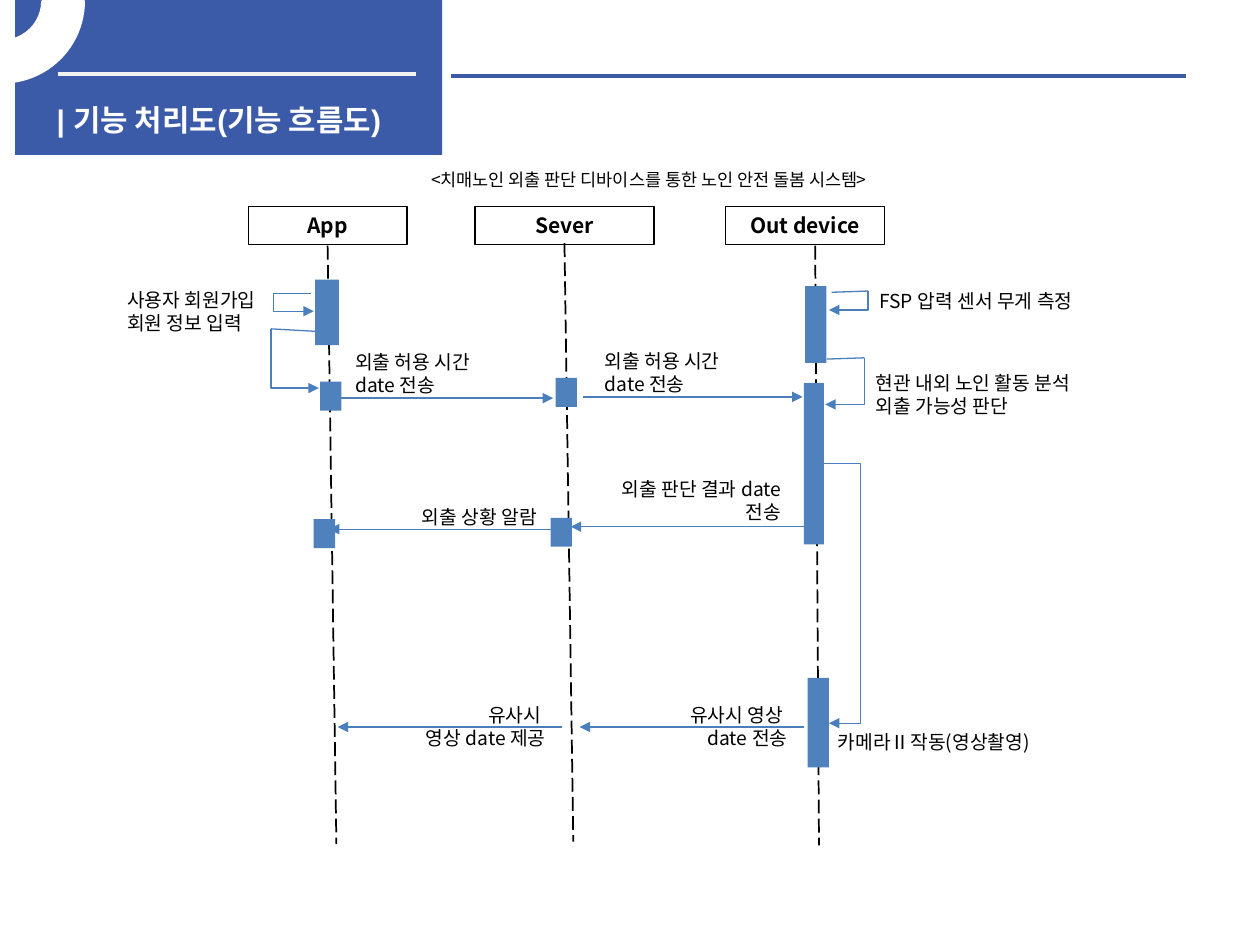
from lxml.etree import SubElement
from pptx import Presentation
from pptx.dml.color import RGBColor
from pptx.enum.dml import MSO_LINE
from pptx.enum.shapes import MSO_CONNECTOR, MSO_SHAPE
from pptx.enum.text import MSO_ANCHOR, MSO_AUTO_SIZE, PP_ALIGN
from pptx.oxml.ns import qn
from pptx.util import Inches, Pt

KOREAN_FONT = "Noto Sans CJK KR"
BANNER, BAR, ARROW = "3B5AA8", "4F81BD", "4B7EBC"
BLACK, WHITE, PALE = "000000", "FFFFFF", "F2F2F2"


def color(value):
    """Turn a hex string into a colour."""
    return RGBColor.from_string(value)


class SequenceSlide:
    """Draw the elements of a sequence diagram in one style."""

    def __init__(self, deck):
        """Start a slide that has only a title."""
        self.slide = deck.slides.add_slide(deck.slide_layouts[5])
        self.shapes = self.slide.shapes

    def set_text(self, frame, lines, size, ink=BLACK, bold=False, align=PP_ALIGN.LEFT, font=KOREAN_FONT):
        """Fill a text frame with one paragraph per line."""
        frame.word_wrap = True
        frame.auto_size = MSO_AUTO_SIZE.NONE
        frame.text = "\n".join(lines)
        for paragraph in frame.paragraphs:
            paragraph.alignment = align
            paragraph.line_spacing = Pt(size * 1.2)
            paragraph.font.size = Pt(size)
            paragraph.font.bold = bold
            paragraph.font.color.rgb = color(ink)
            paragraph.font.name = font
            defaults = paragraph._p.pPr.find(qn("a:defRPr"))
            SubElement(defaults, qn("a:ea")).set("typeface", KOREAN_FONT)

    def title(self, text, left, top, width, height):
        """Place the title in front of everything drawn so far."""
        title = self.shapes.title
        title.left, title.top = Inches(left), Inches(top)
        title.width, title.height = Inches(width), Inches(height)
        self.shapes._spTree.append(title._element)
        self.set_text(title.text_frame, [text], 17, WHITE, True, font="Arial")
        title.text_frame.vertical_anchor = MSO_ANCHOR.TOP

    def label(self, lines, left, top, width, align=PP_ALIGN.LEFT, size=11, rows=None):
        """Add a text label as tall as its rows."""
        height = 0.1 + (rows or len(lines)) * size * 1.2 / 72
        box = self.shapes.add_textbox(Inches(left), Inches(top), Inches(width), Inches(height))
        self.set_text(box.text_frame, lines, size, align=align)

    def block(self, left, top, width, height, fill=None, outline=None, weight=0.75, kind=MSO_SHAPE.RECTANGLE):
        """Add a flat shape."""
        block = self.shapes.add_shape(kind, Inches(left), Inches(top), Inches(width), Inches(height))
        block.shadow.inherit = False
        if fill:
            block.fill.solid()
            block.fill.fore_color.rgb = color(fill)
        else:
            block.fill.background()
        if outline:
            block.line.color.rgb = color(outline)
            block.line.width = Pt(weight)
        else:
            block.line.fill.background()
        return block

    def participant(self, name, left, width):
        """Add the heading box of a lifeline."""
        box = self.block(left, 1.64, width, 0.3, outline=BLACK)
        self.set_text(box.text_frame, [name], 12, bold=True, align=PP_ALIGN.CENTER)

    def line(self, start, end, ink=ARROW, weight=0.75, arrow=False, dash=None, kind=MSO_CONNECTOR.STRAIGHT):
        """Add a connector, with an arrowhead at its end if asked."""
        line = self.shapes.add_connector(kind, *map(Inches, (*start, *end)))
        line.line.color.rgb = color(ink)
        line.line.width = Pt(weight)
        if dash:
            line.line.dash_style = dash
        if arrow:
            outline = line._element.spPr.find(qn("a:ln"))
            SubElement(outline, qn("a:tailEnd")).set("type", "triangle")
        SubElement(line._element.spPr, qn("a:effectLst"))
        return line

    def elbow(self, start, end, turn):
        """Add a bent arrow whose vertical part stands at the turn."""
        bent = self.line(start, end, arrow=True, kind=MSO_CONNECTOR.ELBOW)
        share = round((turn - start[0]) / (end[0] - start[0]) * 100000)
        geometry = bent._element.spPr.find(qn("a:prstGeom"))
        guides = geometry.find(qn("a:avLst"))
        if guides is None:
            guides = SubElement(geometry, qn("a:avLst"))
        guide = SubElement(guides, qn("a:gd"))
        guide.set("name", "adj1")
        guide.set("fmla", f"val {share}")

    def self_call(self, origin, corner, end):
        """Add a message that loops back to its own lifeline."""
        self.line(origin, corner)
        self.elbow(corner, end, corner[0])


def main():
    """Build the sequence diagram slide."""
    deck = Presentation()
    deck.slide_width, deck.slide_height = Inches(10), Inches(7.5)
    page = SequenceSlide(deck)

    page.block(0.12, 0, 3.39, 1.23, BANNER)
    page.line((0.46, 0.59), (3.3, 0.59), PALE, 2.25)
    page.line((3.58, 0.6), (9.41, 0.6), BANNER, 2.25)
    page.title("| 기능 처리도(기능 흐름도)", 0.35, 0.76, 3.23, 0.3)
    ring = page.block(-0.63, -0.63, 1.29, 1.28, WHITE, WHITE, 2, MSO_SHAPE.BLOCK_ARC)
    for index, value in enumerate((0, 54, 0.25)):
        ring.adjustments[index] = value
    page.label(["<치매노인 외출 판단 디바이스를 통한 노인 안전 돌봄 시스템>"], 3, 1.29, 4.3, PP_ALIGN.CENTER, 10)

    for name, left, width, start, end in (
        ("App", 1.97, 1.26, (2.6, 1.95), (2.67, 6.7)),
        ("Sever", 3.77, 1.42, (4.48, 1.93), (4.55, 6.68)),
        ("Out device", 5.76, 1.26, (6.47, 1.95), (6.5, 6.71)),
    ):
        page.participant(name, left, width)
        page.line(start, end, BLACK, 1, dash=MSO_LINE.LONG_DASH)

    for start, end, y in (
        (2.64, 4.39, 3.16),
        (4.63, 6.37, 3.15),
        (6.39, 4.53, 4.18),
        (4.39, 2.61, 4.2),
        (4.46, 2.68, 5.77),
        (6.38, 4.6, 5.77),
    ):
        page.line((start, y), (end, y), arrow=True)

    for left, top, width, height in (
        (2.5, 2.22, 0.19, 0.52),
        (2.54, 3.03, 0.17, 0.23),
        (2.49, 4.12, 0.17, 0.23),
        (4.41, 3, 0.17, 0.23),
        (4.37, 4.11, 0.17, 0.23),
        (6.39, 2.27, 0.17, 0.61),
        (6.38, 3.04, 0.16, 1.28),
        (6.41, 5.38, 0.17, 0.71),
    ):
        page.block(left, top, width, height, BAR)

    page.self_call((2.47, 2.33), (2.17, 2.33), (2.49, 2.47))
    page.self_call((2.51, 2.63), (2.15, 2.61), (2.53, 3.08))
    page.self_call((6.6, 2.32), (6.89, 2.31), (6.58, 2.46))
    page.self_call((6.56, 2.85), (6.86, 2.84), (6.55, 3.21))
    page.elbow((6.54, 3.68), (6.58, 5.74), 6.83)

    allowed_time = ["외출 허용 시간", "date 전송"]
    page.label(allowed_time, 2.72, 2.73, 2.26)
    page.label(allowed_time, 4.7, 2.72, 2.26)
    for lines, left, top in (
        (["사용자 회원가입", "회원 정보 입력"], 0.91, 2.24),
        (["FSP 압력 센서 무게 측정"], 6.88, 2.25),
        (["현관 내외 노인 활동 분석", "외출 가능성 판단"], 6.85, 2.9),
        (["카메라Ⅱ작동(영상촬영)"], 6.55, 5.75),
    ):
        page.label(lines, left, top, 2.45)
    for lines, left, top, rows in (
        (["외출 판단 결과 date 전송"], 4.63, 3.74, 2),
        (["외출 상황 알람"], 2.69, 3.96, 1),
        (["유사시 ", "영상 date 제공"], 2.76, 5.53, 2),
        (["유사시 영상 ", "date 전송"], 4.68, 5.53, 2),
    ):
        page.label(lines, left, top, 1.67, PP_ALIGN.RIGHT, rows=rows)

    deck.save("out.pptx")


if __name__ == "__main__":
    main()
